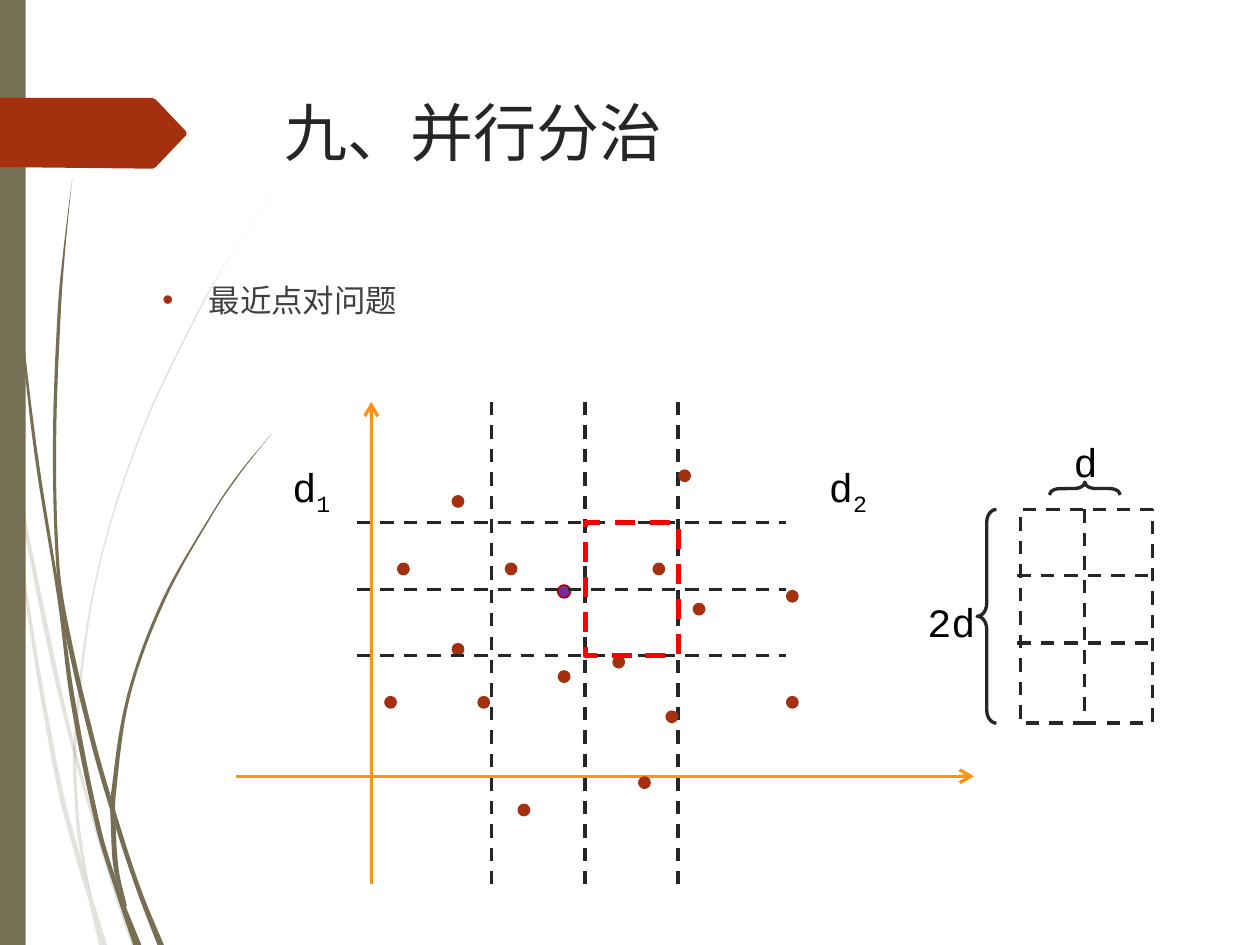
from lxml import etree
from pptx import Presentation
from pptx.dml.color import RGBColor
from pptx.enum.dml import MSO_LINE
from pptx.enum.shapes import MSO_CONNECTOR, MSO_SHAPE
from pptx.enum.text import MSO_ANCHOR, MSO_AUTO_SIZE, PP_ALIGN
from pptx.oxml.ns import qn
from pptx.util import Inches, Pt

DASH = MSO_LINE.DASH
STRAIGHT = MSO_CONNECTOR.STRAIGHT
OVAL, RECTANGLE, BRACE = MSO_SHAPE.OVAL, MSO_SHAPE.RECTANGLE, MSO_SHAPE.LEFT_BRACE
LEFT, CENTER = PP_ALIGN.LEFT, PP_ALIGN.CENTER
TOP, NO_FIT = MSO_ANCHOR.TOP, MSO_AUTO_SIZE.NONE
GROW = MSO_AUTO_SIZE.SHAPE_TO_FIT_TEXT

OLIVE, RUST, INK, ORANGE, RED = "766F54", "A53010", "262626", "FB9318", "FF0000"

# Grass blades, one row for each height: y, left edge, right edge
PALE_BLADES = [
    [(2.21, 0, 0), (2.75, 0.05, 0.06), (3.68, 0.15, 0.17), (4.87, 0.35, 0.38),
     (5.4, 0.49, 0.52), (5.6, 0.55, 0.58), (5.89, 0.62, 0.67)],
    [(0.2, 0.05, 0.05), (1.26, 0.02, 0.03), (2.48, 0.04, 0.06), (2.95, 0.09, 0.11),
     (4.09, 0.31, 0.34), (4.7, 0.46, 0.48), (5.43, 0.67, 0.69), (5.89, 0.82, 0.84)],
    [(1.2, 1.7, 1.7), (1.55, 1.46, 1.46), (1.92, 1.24, 1.25), (2.73, 0.86, 0.87),
     (3.62, 0.59, 0.6), (4.58, 0.46, 0.48), (5.06, 0.47, 0.49), (5.36, 0.51, 0.53),
     (5.58, 0.57, 0.57)],
]
DARK_BLADES = [
    [(0, 0.02, 0.02), (0.86, 0.04, 0.05), (1.83, 0.11, 0.12), (2.79, 0.21, 0.23),
     (3.74, 0.36, 0.38), (4.37, 0.44, 0.47), (5.16, 0.6, 0.63), (5.55, 0.72, 0.75),
     (5.88, 0.83, 0.88)],
    [(1.11, 0.45, 0.45), (1.51, 0.4, 0.41), (1.92, 0.36, 0.38), (2.74, 0.33, 0.35),
     (3.52, 0.35, 0.37), (3.96, 0.41, 0.44), (4.64, 0.57, 0.6), (5.15, 0.72, 0.75),
     (5.54, 0.85, 0.88), (5.88, 0.98, 1.02)],
    [(2.7, 1.69, 1.69), (2.94, 1.49, 1.5), (3.19, 1.32, 1.33), (3.73, 1.01, 1.03),
     (4.33, 0.79, 0.81), (4.95, 0.69, 0.72), (5.15, 0.69, 0.72), (5.42, 0.71, 0.74),
     (5.64, 0.78, 0.79)],
]
POINTS = [
    (4.22, 2.92), (2.81, 3.08), (2.47, 3.5), (3.14, 3.5), (2.97, 4.33), (2.39, 4.33),
    (4.14, 4.42), (4.06, 3.5), (4.89, 4.33), (4.89, 3.67), (4.31, 3.75), (3.47, 4.17),
    (3.81, 4.08), (3.97, 4.83), (3.22, 5), (2.81, 4),
]


def rgb(value):
    return RGBColor.from_string(value)


def smooth_edge(knots, steps=8):
    """Points (x, y) of a smooth curve through knots given as (y, x)."""
    last = len(knots) - 1
    slopes = []
    for i in range(last + 1):
        (y0, x0), (y1, x1) = knots[max(i - 1, 0)], knots[min(i + 1, last)]
        slopes.append((x1 - x0) / (y1 - y0))
    edge = []
    for i in range(last):
        (y0, x0), (y1, x1) = knots[i], knots[i + 1]
        height = y1 - y0
        for step in range(steps):
            t = step / steps
            x = (x0 + (x1 - x0) * t * t * (3 - 2 * t)
                 + height * slopes[i] * t * (1 - t) ** 2
                 - height * slopes[i + 1] * t * t * (1 - t))
            edge.append((x, y0 + height * t))
    return edge + [(knots[-1][1], knots[-1][0])]


class SlideBuilder:
    title_font, label_font = "TeX Gyre Adventor", "Courier New"

    def __init__(self, presentation):
        self.slide = presentation.slides.add_slide(presentation.slide_layouts[1])
        self.shapes = self.slide.shapes

    def style(self, shape, fill=None, line=None, weight=1.5, dash=None):
        shape.shadow.inherit = False
        if fill:
            shape.fill.solid()
            shape.fill.fore_color.rgb = rgb(fill)
        else:
            shape.fill.background()
        if line:
            shape.line.color.rgb = rgb(line)
            shape.line.width = Pt(weight)
            shape.line.dash_style = dash
        else:
            shape.line.fill.background()

    def shape(self, kind, left, top, width, height, adjust=None, rotation=0, **style):
        shape = self.shapes.add_shape(
            kind, Inches(left), Inches(top), Inches(width), Inches(height))
        if adjust:
            shape.adjustments[0] = adjust
        shape.rotation = rotation
        self.style(shape, **style)

    def outline(self, points, fill, opacity=100):
        corners = [(Inches(x), Inches(y)) for x, y in points]
        builder = self.shapes.build_freeform(*corners[0], scale=1.0)
        builder.add_line_segments(corners[1:], close=True)
        shape = builder.convert_to_shape()
        self.style(shape, fill)
        if opacity < 100:
            color = shape._element.spPr.find(qn("a:solidFill"))[0]
            etree.SubElement(color, qn("a:alpha"), val=str(opacity * 1000))

    def blade(self, rows, opacity=100):
        left = smooth_edge([(y, x) for y, x, _ in rows])
        right = smooth_edge([(y, x) for y, _, x in rows])
        self.outline(left + right[::-1], OLIVE, opacity)

    def line(self, x1, y1, x2, y2, color=INK, dash=DASH, arrow=False):
        connector = self.shapes.add_connector(
            STRAIGHT, Inches(x1), Inches(y1), Inches(x2), Inches(y2))
        connector.line.color.rgb = rgb(color)
        connector.line.width = Pt(1.5)
        connector.line.dash_style = dash
        properties = connector._element.spPr
        if arrow:
            etree.SubElement(properties.find(qn("a:ln")), qn("a:tailEnd"), type="arrow")
        etree.SubElement(properties, qn("a:effectLst"))

    def placeholder(self, index, text, left, top, width, height, size, color):
        shape = self.slide.placeholders[index]
        shape.left, shape.top = Inches(left), Inches(top)
        shape.width, shape.height = Inches(width), Inches(height)
        frame = shape.text_frame
        frame.text = text
        frame.auto_size = NO_FIT
        frame.vertical_anchor = TOP
        paragraph = frame.paragraphs[0]
        paragraph.alignment = LEFT
        paragraph.space_before = Pt(0)
        self.format(paragraph.runs[0], self.title_font, size, color)
        return paragraph

    def bullet(self, paragraph, color, indent):
        properties = paragraph._p.get_or_add_pPr()
        properties.set("marL", str(Inches(indent)))
        properties.set("indent", str(-Inches(indent)))
        bullet_color = etree.SubElement(properties, qn("a:buClr"))
        etree.SubElement(bullet_color, qn("a:srgbClr"), val=color)
        etree.SubElement(properties, qn("a:buFont"), typeface="Arial")
        etree.SubElement(properties, qn("a:buChar"), char="•")

    def format(self, run, name, size, color):
        run.font.name, run.font.size = name, Pt(size)
        run.font.color.rgb = rgb(color)

    def label(self, text, left, top, width, subscript="", align=LEFT):
        box = self.shapes.add_textbox(Inches(left), Inches(top), Inches(width), Inches(0.4))
        frame = box.text_frame
        frame.word_wrap = False
        frame.auto_size = GROW
        frame.text = text
        paragraph = frame.paragraphs[0]
        paragraph.alignment = align
        if subscript:
            run = paragraph.add_run()
            run.text = subscript
            run.font._element.set("baseline", "-25000")
        for run in paragraph.runs:
            self.format(run, self.label_font, 18, "000000")


def main():
    presentation = Presentation()
    presentation.slide_width, presentation.slide_height = Inches(7.84), Inches(5.88)
    page = SlideBuilder(presentation)

    # Side decoration
    for rows in PALE_BLADES:
        page.blade(rows, opacity=20)
    for rows in DARK_BLADES:
        page.blade(rows)
    page.shape(RECTANGLE, 0, 0, 0.16, 5.88, fill=OLIVE)
    page.outline([(0, 0.61), (0.95, 0.61), (0.97, 0.62), (1.16, 0.82), (1.16, 0.84),
                  (0.97, 1.04), (0.95, 1.05), (0, 1.04)], RUST)

    # Title and list
    page.placeholder(0, "九、并行分治", 1.67, 0.53, 5.65, 1.1, 28.2, INK)
    item = page.placeholder(1, "最近点对问题", 0.91, 1.7, 6.47, 0.64, 14.1, "404040")
    page.bullet(item, RUST, 0.29)

    # Axes, dividing lines and their labels
    for x in (3.06, 3.64, 4.22):
        page.line(x, 2.5, x, 5.5)
    page.label("d", 1.72, 2.83, 0.45, subscript="1")
    page.label("d", 5.06, 2.83, 0.45, subscript="2")
    page.line(2.31, 5.5, 2.31, 2.5, ORANGE, None, arrow=True)
    page.line(1.47, 4.83, 6.06, 4.83, ORANGE, None, arrow=True)

    # Points and the search window
    for x, y in POINTS:
        page.shape(OVAL, x, y, 0.08, 0.08, fill=RUST)
    page.shape(OVAL, 3.47, 3.64, 0.08, 0.08, fill="7030A0", line="C00000", weight=0.75)
    for y in (3.25, 3.67, 4.08):
        page.line(2.22, y, 4.89, y)
    page.shape(RECTANGLE, 3.64, 3.25, 0.58, 0.83, line=RED, weight=2.25, dash=DASH)

    # Window divided into six cells
    page.shapes = page.slide.shapes.add_group_shape().shapes
    page.shape(RECTANGLE, 6.35, 3.17, 0.82, 1.33, line=INK, dash=DASH)
    page.line(6.75, 3.17, 6.75, 4.5)
    for y in (3.58, 4):
        page.line(6.33, y, 7.17, y)
    page.label("d", 6.58, 2.67, 0.35, align=CENTER)
    page.shape(BRACE, 6.71, 2.82, 0.08, 0.44, adjust=0.83, rotation=90, line=INK)
    page.label("2d", 5.67, 3.67, 0.5, align=CENTER)
    page.shape(BRACE, 6.08, 3.17, 0.12, 1.33, adjust=0.67, line=INK)

    presentation.save("out.pptx")


if __name__ == "__main__":
    main()
